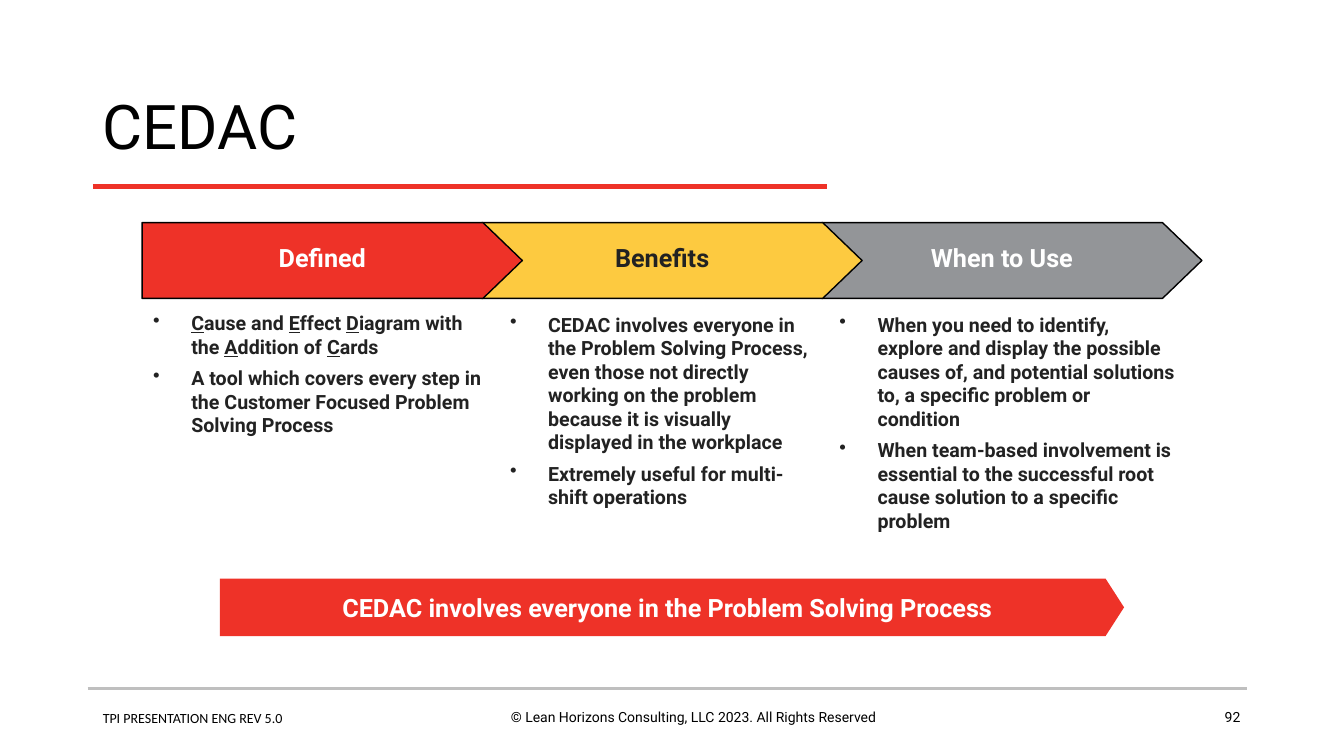
from dataclasses import dataclass

from lxml.etree import SubElement
from pptx import Presentation
from pptx.dml.color import RGBColor
from pptx.enum.shapes import MSO_CONNECTOR, MSO_SHAPE
from pptx.enum.text import MSO_ANCHOR, PP_ALIGN
from pptx.oxml.ns import qn
from pptx.util import Cm, Pt


@dataclass(frozen=True)
class Theme:
    red: str = "EE3228"
    yellow: str = "FDCA40"
    gray: str = "939598"
    rule: str = "BFBFBF"
    black: str = "000000"
    ink: str = "222222"
    white: str = "FFFFFF"
    font: str = "Roboto"
    footer_font: str = "Calibri"
    title: int = 44
    heading: int = 18
    body: int = 14
    small: int = 10


THEME = Theme()

TITLE = "CEDAC"
BANNER = "CEDAC involves everyone in the Problem Solving Process"
STAGES = [
    {
        "heading": "Defined", "fill": THEME.red, "color": THEME.white,
        "area": (3.61, 7.72, 8.86, 6.25),
        "points": [
            "_C_ause and _E_ffect _D_iagram with the _A_ddition of _C_ards",
            "A tool which covers every step in the Customer Focused Problem Solving Process",
        ],
    },
    {
        "heading": "Benefits", "fill": THEME.yellow, "color": THEME.ink,
        "area": (12.6, 7.75, 8.23, 6.25),
        "points": [
            "CEDAC involves everyone in the Problem Solving Process, even those not directly "
            "working on the problem because it is visually displayed in the workplace",
            "Extremely useful for multi-shift operations",
        ],
    },
    {
        "heading": "When to Use", "fill": THEME.gray, "color": THEME.white,
        "area": (20.9, 7.75, 8.99, 6.25),
        "points": [
            "When you need to identify, explore and display the possible causes of, "
            "and potential solutions to, a specific problem or condition",
            "When team-based involvement is essential to the successful root cause "
            "solution to a specific problem",
        ],
    },
]
FOOTERS = [
    ("© Lean Horizons Consulting, LLC 2023. All Rights Reserved",
     (11.68, 17.73, 11.58, 1.12), PP_ALIGN.CENTER, THEME.font),
    ("TPI PRESENTATION ENG REV 5.0",
     (2.34, 17.75, 11.58, 1.12), PP_ALIGN.LEFT, THEME.footer_font),
    ("92", (23.88, 17.73, 7.62, 0.91), PP_ALIGN.RIGHT, THEME.font),
]
RULES = [
    (2.21, 31.42, 17.35, THEME.rule, 2),
    (2.34, 20.83, 4.7, THEME.red, 3),
]
ARROW_LEFT, ARROW_TOP, ARROW_STEP = 3.58, 5.61, 8.56
ARROW_SIZE = (9.58, 1.91)
BANNER_AREA = (5.54, 14.58, 22.78, 1.45)
BULLET_INDENT = Cm(0.96)
POINT_GAP = Pt(2.8)


def set_font(para, size, color, bold=False, name=THEME.font):
    para.font.name = name
    para.font.size = Pt(size)
    para.font.bold = bold
    para.font.color.rgb = RGBColor.from_string(color)


def add_text(page, area):
    box = page.shapes.add_textbox(*map(Cm, area))
    box.text_frame.word_wrap = True
    return box.text_frame


def add_rule(page, left, right, top, color, width):
    line = page.shapes.add_connector(
        MSO_CONNECTOR.STRAIGHT, Cm(left), Cm(top), Cm(right), Cm(top))
    line.line.color.rgb = RGBColor.from_string(color)
    line.line.width = Pt(width)
    SubElement(line._element.spPr, qn("a:effectLst"))


def add_arrow(page, text, area, point, fill, color, outlined):
    arrow = page.shapes.add_shape(MSO_SHAPE.PENTAGON, *map(Cm, area))
    arrow.adjustments[0] = point
    arrow.shadow.inherit = False
    arrow.fill.solid()
    arrow.fill.fore_color.rgb = RGBColor.from_string(fill)
    if outlined:
        arrow.line.color.rgb = RGBColor.from_string(THEME.black)
        arrow.line.width = Pt(1)
    else:
        arrow.line.fill.background()
    frame = arrow.text_frame
    frame.word_wrap = False
    frame.vertical_anchor = MSO_ANCHOR.MIDDLE
    para = frame.paragraphs[0]
    para.text = text
    para.alignment = PP_ALIGN.CENTER
    set_font(para, THEME.heading, color, bold=True)
    return para


def add_points(page, points, area):
    frame = add_text(page, area)
    for index, point in enumerate(points):
        para = frame.add_paragraph() if index else frame.paragraphs[0]
        properties = para._p.get_or_add_pPr()
        properties.set("marL", str(BULLET_INDENT))
        properties.set("indent", str(-BULLET_INDENT))
        SubElement(properties, qn("a:buChar")).set("char", "•")
        if index:
            para.space_before = POINT_GAP
        para.space_after = POINT_GAP
        set_font(para, THEME.body, THEME.ink, bold=True)
        for part, text in enumerate(point.split("_")):
            if text:
                span = para.add_run()
                span.text = text
                if part % 2:
                    span.font.underline = True


def main():
    deck = Presentation()
    deck.slide_width, deck.slide_height = Cm(33.86), Cm(19.05)
    page = deck.slides.add_slide(deck.slide_layouts[6])

    for rule in RULES:
        add_rule(page, *rule)

    frame = add_text(page, (2.34, 1.88, 29.21, 2.79))
    frame.vertical_anchor = MSO_ANCHOR.MIDDLE
    title = frame.paragraphs[0]
    title.text = TITLE
    title.line_spacing = 0.9
    set_font(title, THEME.title, THEME.black)

    for index, stage in reversed(list(enumerate(STAGES))):
        area = (ARROW_LEFT + index * ARROW_STEP, ARROW_TOP, *ARROW_SIZE)
        heading = add_arrow(page, stage["heading"], area, 0.519,
                            stage["fill"], stage["color"], outlined=True)
        heading.line_spacing = 0.8
    for stage in STAGES:
        add_points(page, stage["points"], stage["area"])

    add_arrow(page, BANNER, BANNER_AREA, 0.322, THEME.red, THEME.white, outlined=False)

    for text, area, alignment, name in FOOTERS:
        para = add_text(page, area).paragraphs[0]
        para.text = text
        para.alignment = alignment
        set_font(para, THEME.small, THEME.black, name=name)

    deck.save("out.pptx")


if __name__ == "__main__":
    main()
